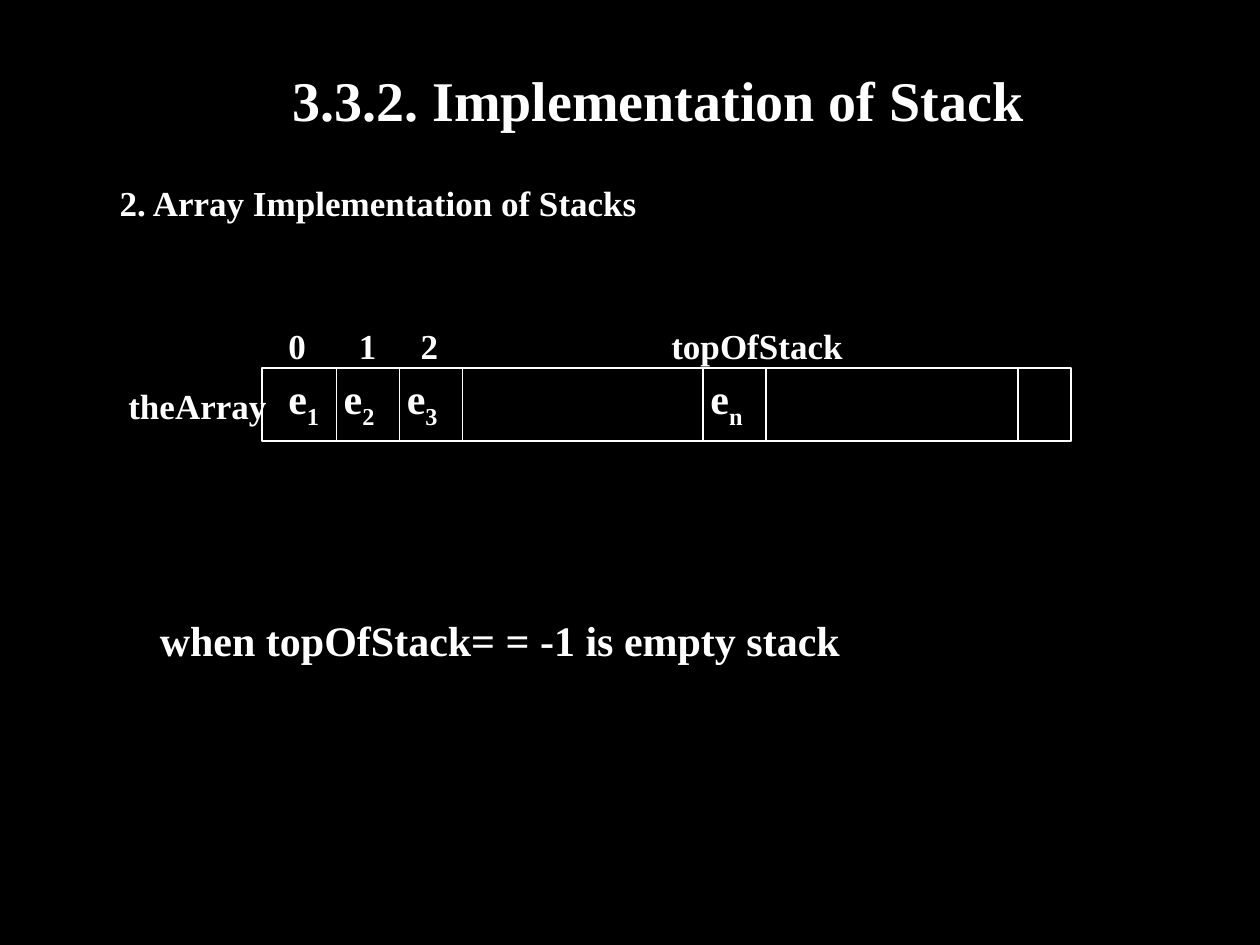
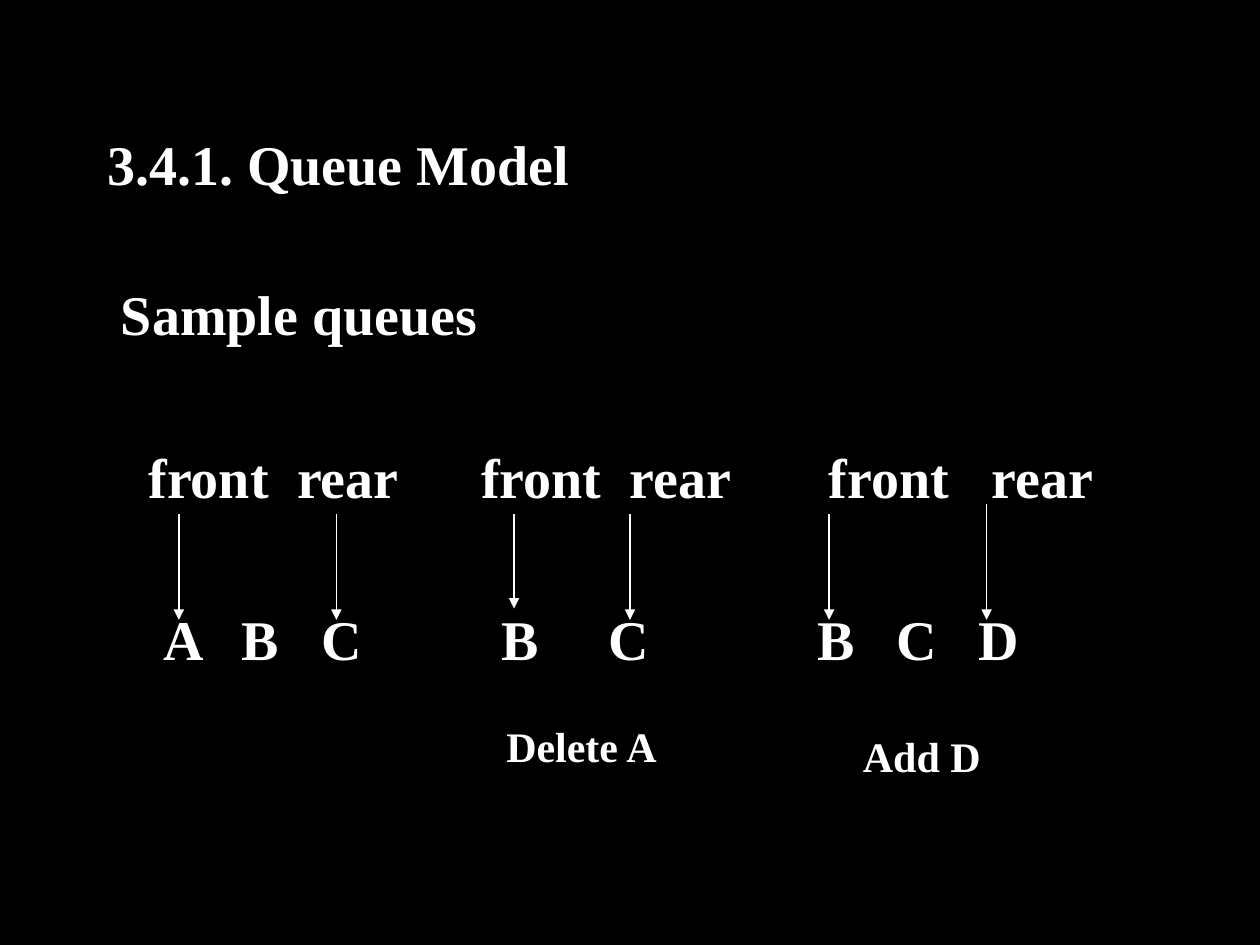
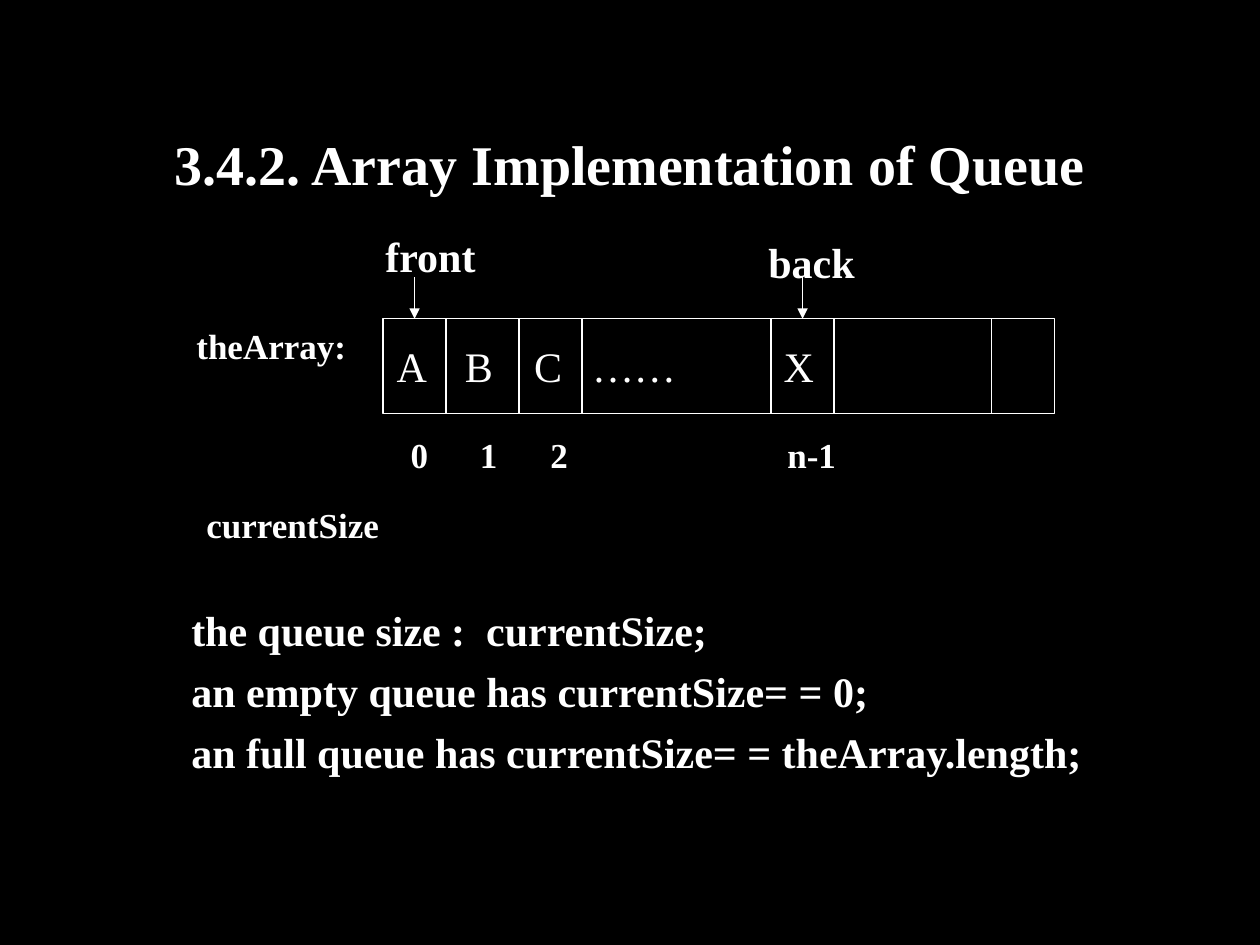
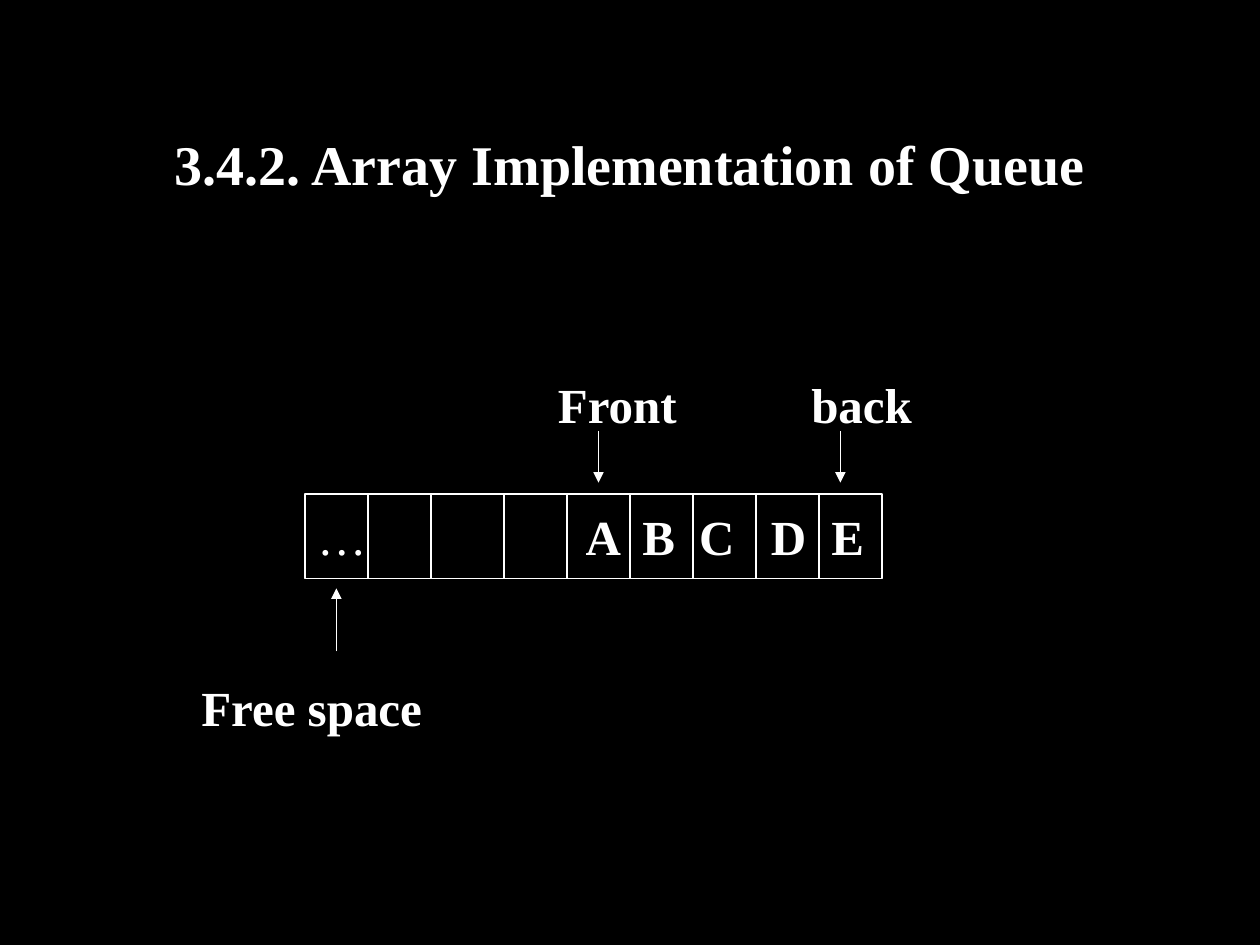
import dataclasses

import lxml.etree
import pptx
import pptx.dml.color
import pptx.enum.shapes
import pptx.enum.text
import pptx.oxml.ns
import pptx.util

Inches = pptx.util.Inches
Pt = pptx.util.Pt
qn = pptx.oxml.ns.qn
Align = pptx.enum.text.PP_ALIGN
Anchor = pptx.enum.text.MSO_ANCHOR


@dataclasses.dataclass(frozen=True)
class Theme:
    font: str = "Times New Roman"
    ink: pptx.dml.color.RGBColor = pptx.dml.color.RGBColor(255, 255, 255)
    paper: pptx.dml.color.RGBColor = pptx.dml.color.RGBColor(0, 0, 0)
    line: float = 0.75
    title: int = 32
    large: int = 28
    medium: int = 24
    small: int = 20
    inset_x: float = 0.1
    inset_y: float = 0.05


THEME = Theme()


@dataclasses.dataclass(frozen=True)
class Text:
    """Lines of text in a box (left, top, width, height)."""
    box: tuple
    size: int
    lines: list
    gap: float = 0


@dataclasses.dataclass(frozen=True)
class Column:
    """A piece of a row whose text starts at x inches on the slide."""
    x: float
    text: str
    subscript: str = ""
    bold: bool = True


@dataclasses.dataclass(frozen=True)
class Row:
    """Columns that share a top, a height and a right edge."""
    top: float
    height: float
    right: float
    size: int
    columns: list


@dataclasses.dataclass(frozen=True)
class Array:
    box: tuple
    dividers: list
    cells: list = dataclasses.field(default_factory=list)
    size: int = THEME.medium


@dataclasses.dataclass(frozen=True)
class Page:
    title: str
    title_box: tuple = (0.75, 0.67, 8.5, 1.25)
    title_align: Align = Align.CENTER
    title_indent: float = THEME.inset_x
    body: Text = None
    array: Array = None
    labels: list = dataclasses.field(default_factory=list)
    rows: list = dataclasses.field(default_factory=list)
    arrows: list = dataclasses.field(default_factory=list)  # (x, from y, to y)


PAGES = [
    Page(
        title="3.3.2. Implementation of Stack",
        title_box=(0.67, 0.25, 8.75, 1.08),
        title_align=Align.LEFT,
        title_indent=1.65,
        body=Text((0.85, 1.39, 8.4, 2.5), THEME.small,
                  ["2. Array Implementation of Stacks"]),
        array=Array((2.08, 2.92, 6.42, 0.58), [2.67, 3.17, 3.67, 5.58, 6.08, 8.08]),
        labels=[
            Text((0.92, 3, 1.42, 0.43), THEME.small, ["theArray"]),
            Text((1.17, 4.83, 6.5, 1.11), THEME.medium,
                 ["when topOfStack= = -1 is empty stack"]),
        ],
        rows=[
            Row(2.53, 0.43, 9.33, THEME.small,
                [Column(2.29, "0"), Column(2.85, "1"), Column(3.34, "2"),
                 Column(5.33, "topOfStack")]),
            Row(2.91, 0.56, 6.08, THEME.medium,
                [Column(2.29, "e", "1"), Column(2.73, "e", "2"),
                 Column(3.23, "e", "3"), Column(5.64, "e", "n")]),
        ],
    ),
    Page(
        title="3.4.1. Queue Model",
        title_align=Align.LEFT,
        body=Text((0.86, 2.17, 8.39, 4.5), THEME.title, ["Sample queues"]),
        rows=[
            Row(3.46, 0.63, 9.25, THEME.title,
                [Column(1.18, "front"), Column(2.36, "rear"),
                 Column(3.82, "front"), Column(5, "rear"),
                 Column(6.58, "front"), Column(7.87, "rear")]),
            Row(4.75, 0.63, 9.25, THEME.title,
                [Column(1.3, "A"), Column(1.92, "B"), Column(2.55, "C"),
                 Column(3.98, "B"), Column(4.83, "C"),
                 Column(6.49, "B"), Column(7.12, "C"), Column(7.77, "D")]),
        ],
        labels=[
            Text((3.92, 5.67, 1.66, 0.5), THEME.medium, ["Delete A"]),
            Text((6.75, 5.75, 1.5, 0.5), THEME.medium, ["Add D"]),
        ],
        arrows=[(1.42, 4.08, 4.92), (2.67, 4.08, 4.92), (4.08, 4.08, 4.83),
                (5, 4.08, 4.92), (6.58, 4.08, 4.92), (7.83, 4, 4.92)],
    ),
    Page(
        title="3.4.2. Array Implementation of Queue",
        array=Array((3.04, 2.53, 5.33, 0.75), [3.54, 4.12, 4.62, 6.12, 6.62, 7.87],
                    [Column(3.15, "A", bold=False), Column(3.69, "B", bold=False),
                     Column(4.24, "C", bold=False), Column(4.7, "……", bold=False),
                     Column(6.22, "X", bold=False)]),
        labels=[
            Text((1.46, 2.53, 1.42, 0.43), THEME.small, ["theArray:"]),
            Text((2.96, 1.78, 1.08, 0.5), THEME.medium, ["front"]),
            Text((6, 1.83, 1.04, 0.5), THEME.medium, ["back"]),
            Text((1.54, 3.95, 1.83, 0.44), THEME.small, ["currentSize"]),
            Text((1.42, 4.75, 7.83, 2.56), THEME.medium, [
                "the queue size :  currentSize;",
                "an empty queue has currentSize= = 0;",
                "an full queue has currentSize= = theArray.length;",
            ], gap=6),
        ],
        rows=[
            Row(3.39, 0.43, 7.04, THEME.small,
                [Column(3.26, "0"), Column(3.81, "1"), Column(4.37, "2"),
                 Column(6.25, "n-1")]),
        ],
        arrows=[(3.29, 2.2, 2.53), (6.37, 2.2, 2.53)],
    ),
    Page(
        title="3.4.2. Array Implementation of Queue",
        array=Array((2.42, 3.92, 4.58, 0.67), [2.92, 3.42, 4, 4.5, 5, 5.5, 6, 6.5],
                    [Column(2.52, "…", bold=False), Column(4.65, "A"), Column(5.1, "B"),
                     Column(5.55, "C"), Column(6.12, "D"), Column(6.6, "E")],
                    THEME.large),
        labels=[Text((1.5, 5.33, 2.25, 0.57), THEME.large, ["Free space"])],
        rows=[
            Row(2.92, 0.57, 7.75, THEME.large,
                [Column(4.43, "Front"), Column(6.44, "back")]),
        ],
        arrows=[(4.75, 3.42, 3.83), (6.67, 3.42, 3.83), (2.67, 5.17, 4.67)],
    ),
]


def inches(box):
    return [Inches(length) for length in box]


def place(shape, box):
    shape.left, shape.top, shape.width, shape.height = inches(box)


def set_font(font, size, bold=True):
    font.name = THEME.font
    font.size = Pt(size)
    font.bold = bold
    font.color.rgb = THEME.ink


def write(shape, text, anchor=Anchor.TOP, bold=True):
    frame = shape.text_frame
    frame.word_wrap = True
    frame.auto_size = pptx.enum.text.MSO_AUTO_SIZE.NONE
    frame.vertical_anchor = anchor
    frame.margin_left = frame.margin_right = Inches(THEME.inset_x)
    frame.margin_top = frame.margin_bottom = Inches(THEME.inset_y)
    for number, line in enumerate(text.lines):
        paragraph = frame.add_paragraph() if number else frame.paragraphs[0]
        paragraph.add_run().text = line
        properties = paragraph._p.get_or_add_pPr()
        properties.set("marL", "0")
        properties.set("indent", "0")
        lxml.etree.SubElement(properties, qn("a:buNone"))
        paragraph.alignment = Align.LEFT
        paragraph.space_before = Pt(text.gap if number else 0)
        set_font(paragraph.font, text.size, bold)


def add_text(slide, text, anchor=Anchor.TOP, bold=True):
    label = slide.shapes.add_textbox(*inches(text.box))
    write(label, text, anchor, bold)
    return label


def add_row(slide, row, anchor=Anchor.TOP):
    """Gives each column a box whose text area reaches to the next column."""
    ends = [column.x for column in row.columns[1:]] + [row.right - THEME.inset_x]
    for column, end in zip(row.columns, ends):
        box = (column.x - THEME.inset_x, row.top,
               end - column.x + 2 * THEME.inset_x, row.height)
        label = add_text(slide, Text(box, row.size, [column.text]), anchor, column.bold)
        if column.subscript:
            below = label.text_frame.paragraphs[0].add_run()
            below.text = column.subscript
            below._r.get_or_add_rPr().set("baseline", "-25000")


def add_vertical(slide, x, start, end, arrow=False):
    connector = slide.shapes.add_connector(
        pptx.enum.shapes.MSO_CONNECTOR.STRAIGHT, *inches((x, start, x, end)))
    connector.line.color.rgb = THEME.ink
    connector.line.width = Pt(THEME.line)
    properties = connector._element.spPr
    if arrow:
        lxml.etree.SubElement(properties.find(qn("a:ln")), qn("a:tailEnd"), type="triangle")
    lxml.etree.SubElement(properties, qn("a:effectLst"))


def add_array(slide, array):
    frame = slide.shapes.add_shape(
        pptx.enum.shapes.MSO_SHAPE.RECTANGLE, *inches(array.box))
    frame.shadow.inherit = False
    frame.fill.background()
    frame.line.color.rgb = THEME.ink
    frame.line.width = Pt(THEME.line)
    left, top, width, height = array.box
    for x in array.dividers:
        add_vertical(slide, x, top, top + height)
    add_row(slide, Row(top, height, left + width, array.size, array.cells), Anchor.MIDDLE)


def add_title(slide, page):
    title = slide.shapes.title
    place(title, page.title_box)
    frame = title.text_frame
    frame.text = page.title
    frame.auto_size = pptx.enum.text.MSO_AUTO_SIZE.NONE
    frame.vertical_anchor = Anchor.MIDDLE
    frame.margin_left = Inches(page.title_indent)
    paragraph = frame.paragraphs[0]
    paragraph.alignment = page.title_align
    set_font(paragraph.font, THEME.title)


def add_page(deck, page):
    title_and_content, title_only = deck.slide_layouts[1], deck.slide_layouts[5]
    slide = deck.slides.add_slide(title_and_content if page.body else title_only)
    add_title(slide, page)
    if page.body:
        place(slide.placeholders[1], page.body.box)
        write(slide.placeholders[1], page.body)
    if page.array:
        add_array(slide, page.array)
    for label in page.labels:
        add_text(slide, label)
    for row in page.rows:
        add_row(slide, row)
    for x, start, end in page.arrows:
        add_vertical(slide, x, start, end, arrow=True)


def main():
    deck = pptx.Presentation()
    deck.slide_width, deck.slide_height = Inches(10), Inches(7.5)
    backdrop = deck.slide_master.background.fill
    backdrop.solid()
    backdrop.fore_color.rgb = THEME.paper
    for page in PAGES:
        add_page(deck, page)
    deck.save("out.pptx")


if __name__ == "__main__":
    main()
